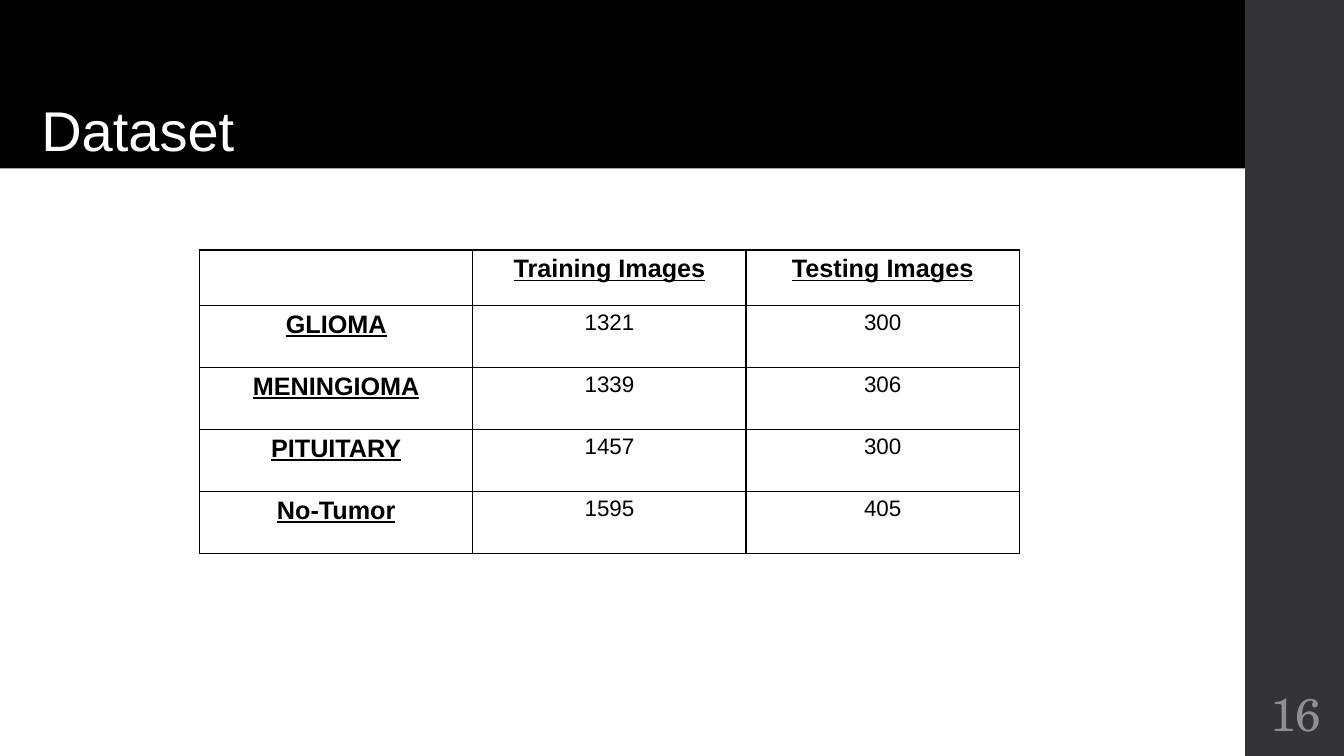
from dataclasses import dataclass

from lxml import etree
from pptx import Presentation
from pptx.dml.color import RGBColor
from pptx.enum import shapes, text
from pptx.oxml import ns
from pptx.util import Inches, Pt

BLACK = RGBColor(0x00, 0x00, 0x00)
WHITE = RGBColor(0xFF, 0xFF, 0xFF)
CHARCOAL = RGBColor(0x34, 0x34, 0x37)
GRAY = RGBColor(0x8E, 0x8E, 0x93)
BORDER_WIDTH = Pt(0.96)
CENTER = text.PP_ALIGN.CENTER


@dataclass
class ImageClass:
    name: str
    training: int
    testing: int


IMAGE_CLASSES = [
    ImageClass("GLIOMA", 1321, 300),
    ImageClass("MENINGIOMA", 1339, 306),
    ImageClass("PITUITARY", 1457, 300),
    ImageClass("No-Tumor", 1595, 405),
]


def write_text(frame, content: str, *, size: float, color: RGBColor = BLACK,
               font: str = "Arial", bold: bool = False, underline: bool = False,
               align: text.PP_ALIGN = CENTER, line_spacing: float = 1.0) -> None:
    paragraph = frame.paragraphs[0]
    paragraph.alignment = align
    paragraph.line_spacing = line_spacing
    run = paragraph.add_run()
    run.text = content
    run.font.name = font
    run.font.size = Pt(size)
    run.font.bold = bold
    run.font.underline = underline
    run.font.color.rgb = color


def set_margins(frame, left: float, top: float, right: float, bottom: float) -> None:
    frame.margin_left, frame.margin_top = Inches(left), Inches(top)
    frame.margin_right, frame.margin_bottom = Inches(right), Inches(bottom)


def style_cell(cell) -> None:
    properties = cell._tc.get_or_add_tcPr()
    for side in ("lnL", "lnR", "lnT", "lnB"):
        line = etree.SubElement(properties, ns.qn(f"a:{side}"), w=str(BORDER_WIDTH))
        fill = etree.SubElement(line, ns.qn("a:solidFill"))
        etree.SubElement(fill, ns.qn("a:srgbClr"), val=str(BLACK))
    cell.fill.solid()
    cell.fill.fore_color.rgb = WHITE


def add_title(slide) -> None:
    title = slide.shapes.title
    title.left, title.top = Inches(0), Inches(0)
    title.width, title.height = Inches(12.35), Inches(1.67)
    title.fill.solid()
    title.fill.fore_color.rgb = BLACK
    frame = title.text_frame
    frame.auto_size = text.MSO_AUTO_SIZE.NONE
    frame.vertical_anchor = text.MSO_ANCHOR.BOTTOM
    set_margins(frame, 0.41, 0.05, 0.1, 0.05)
    write_text(frame, "Dataset", size=40, color=WHITE,
               align=text.PP_ALIGN.LEFT, line_spacing=0.9)


def add_sidebar(slide) -> None:
    sidebar = slide.shapes.add_shape(shapes.MSO_SHAPE.RECTANGLE, Inches(12.35),
                                     Inches(0), Inches(1), Inches(7.5))
    sidebar.shadow.inherit = False
    sidebar.fill.solid()
    sidebar.fill.fore_color.rgb = CHARCOAL
    sidebar.line.fill.background()

    number = slide.shapes.add_textbox(Inches(12.35), Inches(6.75),
                                      Inches(1), Inches(0.65))
    frame = number.text_frame
    frame.word_wrap = True
    frame.vertical_anchor = text.MSO_ANCHOR.MIDDLE
    set_margins(frame, 0.05, 0.05, 0.05, 0.05)
    write_text(frame, "16", size=32.8, color=GRAY, font="TeX Gyre Schola")


def add_dataset_table(slide, image_classes: list[ImageClass]) -> None:
    rows = [("", "Training Images", "Testing Images")]
    rows += [(item.name, str(item.training), str(item.testing))
             for item in image_classes]
    table = slide.shapes.add_table(len(rows), 3, Inches(1.98), Inches(2.48),
                                   Inches(8.13), Inches(3.01)).table
    for column in table.columns:
        column.width = Inches(2.71)
    for row_index, values in enumerate(rows):
        table.rows[row_index].height = Inches(0.615 if row_index else 0.55)
        for column_index, value in enumerate(values):
            cell = table.cell(row_index, column_index)
            style_cell(cell)
            heading = row_index == 0 or column_index == 0
            if value:
                write_text(cell.text_frame, value, size=18 if heading else 16,
                           bold=heading, underline=heading)


def main() -> None:
    presentation = Presentation()
    presentation.slide_width = Inches(13.33)
    presentation.slide_height = Inches(7.5)
    slide = presentation.slides.add_slide(presentation.slide_layouts[5])

    # Title band
    add_title(slide)
    # Sidebar with slide number
    add_sidebar(slide)
    # Image counts by class
    add_dataset_table(slide, IMAGE_CLASSES)

    presentation.save("out.pptx")


if __name__ == "__main__":
    main()
